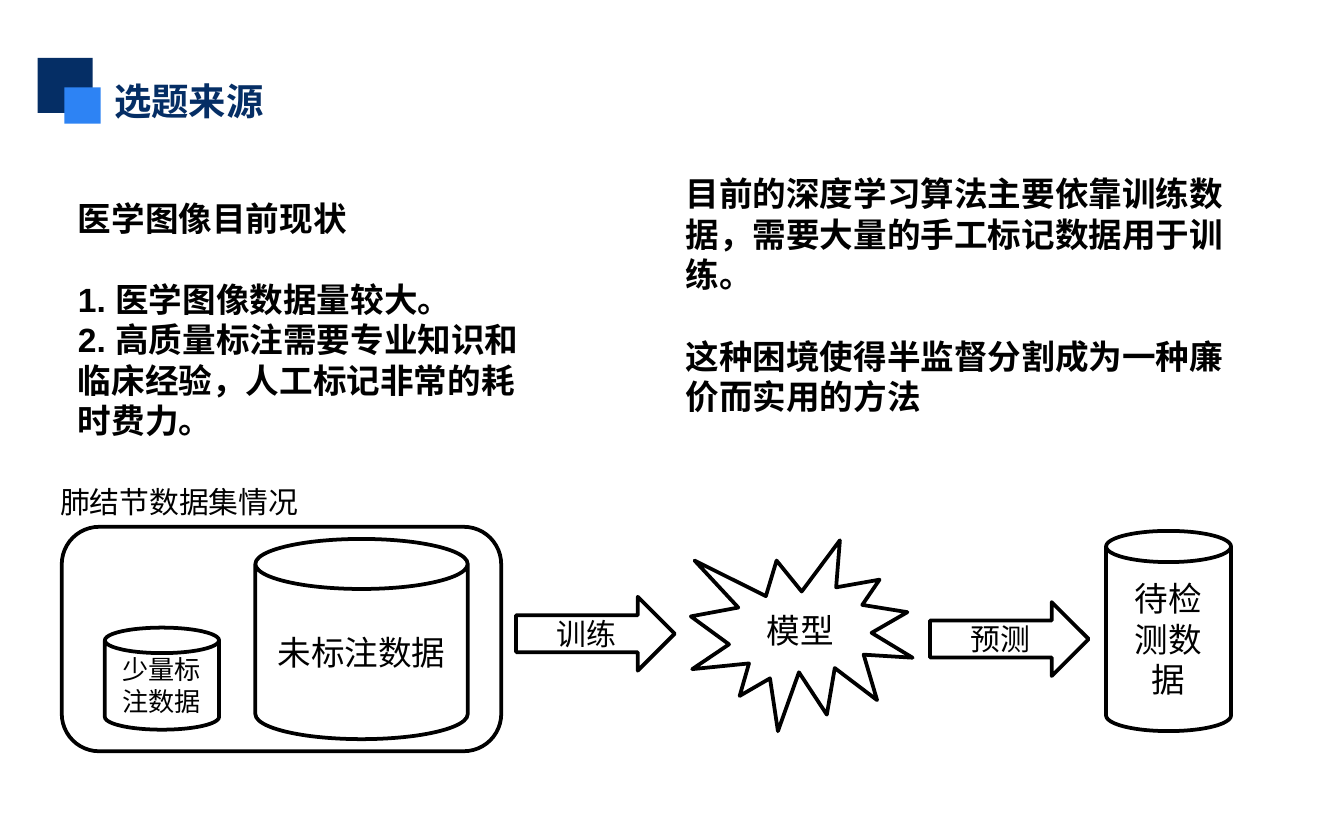
from dataclasses import dataclass

from pptx import Presentation
from pptx.dml.color import RGBColor
from pptx.enum.shapes import MSO_SHAPE as Shape
from pptx.enum.text import MSO_ANCHOR as Anchor, MSO_AUTO_SIZE as AutoSize, PP_ALIGN as Align
from pptx.oxml.ns import qn
from pptx.util import Inches, Pt


@dataclass(frozen=True)
class Theme:
    navy: str = "052E65"
    blue: str = "2D83F4"
    black: str = "000000"
    white: str = "FFFFFF"
    cjk_font: str = "Noto Sans CJK SC"
    body_font: str = "Arial"
    diagram_font: str = "Calibri"
    title_size: int = 20
    body_size: int = 18
    label_size: int = 16
    small_size: int = 14
    outline: int = 2
    paragraph_gap: int = 22


THEME = Theme()


def write(frame, paragraphs, *, font, size, color=THEME.black, bold=False,
          align=Align.LEFT, anchor=Anchor.TOP, wrap=True, gap_after_first=0):
    """Fill a text frame with one format; each string is a paragraph."""
    frame.word_wrap = wrap
    frame.auto_size = AutoSize.NONE
    frame.vertical_anchor = anchor
    for index, text in enumerate(paragraphs):
        paragraph = frame.paragraphs[0] if index == 0 else frame.add_paragraph()
        paragraph.alignment = align
        paragraph.space_before = Pt(0)
        paragraph.space_after = Pt(0 if index else gap_after_first)
        # No bullet and no hanging indent
        properties = paragraph._p.get_or_add_pPr()
        properties.set("marL", "0")
        properties.set("indent", "0")
        properties.append(properties.makeelement(qn("a:buNone"), {}))

        run = paragraph.add_run()
        run.text = text
        run.font.name = font
        run.font.size = Pt(size)
        run.font.bold = bold
        run.font.color.rgb = RGBColor.from_string(color)
        latin = run._r.rPr.find(qn("a:latin"))
        latin.addnext(latin.makeelement(qn("a:ea"), {"typeface": THEME.cjk_font}))


class SlideBuilder:
    def __init__(self, slide, theme):
        self.slide = slide
        self.theme = theme

    def placeholder(self, index, box, paragraphs, **style):
        holder = self.slide.placeholders[index]
        holder.left, holder.top, holder.width, holder.height = map(Inches, box)
        write(holder.text_frame, paragraphs, bold=True, **style)

    def title(self, box, text):
        self.placeholder(0, box, [text], font=self.theme.cjk_font,
                         size=self.theme.title_size, color=self.theme.navy)

    def body(self, index, box, paragraphs):
        self.placeholder(index, box, paragraphs, font=self.theme.body_font,
                         size=self.theme.body_size,
                         gap_after_first=self.theme.paragraph_gap)

    def caption(self, box, text):
        label = self.slide.shapes.add_textbox(*map(Inches, box))
        write(label.text_frame, [text], font=self.theme.diagram_font,
              size=self.theme.label_size, wrap=False)

    def square(self, left, top, side, color):
        square = self.slide.shapes.add_shape(
            Shape.RECTANGLE, *map(Inches, (left, top, side, side)))
        square.shadow.inherit = False
        square.fill.solid()
        square.fill.fore_color.rgb = RGBColor.from_string(color)
        square.line.fill.background()

    def node(self, kind, box, text=None, size=THEME.body_size, filled=True):
        node = self.slide.shapes.add_shape(kind, *map(Inches, box))
        node.shadow.inherit = False
        if filled:
            node.fill.solid()
            node.fill.fore_color.rgb = RGBColor.from_string(self.theme.white)
        else:
            node.fill.background()
        node.line.color.rgb = RGBColor.from_string(self.theme.black)
        node.line.width = Pt(self.theme.outline)
        if text:
            write(node.text_frame, [text], font=self.theme.diagram_font, size=size,
                  align=Align.CENTER, anchor=Anchor.MIDDLE)

    def arrow(self, left, top, text):
        self.node(Shape.RIGHT_ARROW, (left, top, 1.18, 0.55), text, self.theme.label_size)


def main():
    deck = Presentation()
    deck.slide_width, deck.slide_height = Inches(10), Inches(6.25)
    two_content = deck.slide_layouts[3]
    page = SlideBuilder(deck.slides.add_slide(two_content), THEME)

    # Heading with its two-square mark
    page.title((0.75, 0.53, 2.52, 0.44), "选题来源")
    page.square(0.28, 0.43, 0.41, THEME.navy)
    page.square(0.48, 0.65, 0.27, THEME.blue)

    # Background on the left, difficulty on the right
    page.body(1, (0.48, 1.42, 3.58, 1.92), [
        "医学图像目前现状",
        "1. 医学图像数据量较大。",
        "2. 高质量标注需要专业知识和临床经验，人工标记非常的耗时费力。",
    ])
    page.body(2, (5, 1.24, 4.42, 1.92), [
        "目前的深度学习算法主要依靠训练数据，需要大量的手工标记数据用于训练。",
        "这种困境使得半监督分割成为一种廉价而实用的方法",
    ])

    # Data set: few labelled, many unlabelled
    page.caption((0.35, 3.55, 2, 0.37), "肺结节数据集情况")
    page.node(Shape.ROUNDED_RECTANGLE, (0.46, 3.92, 3.27, 1.67), filled=False)
    page.node(Shape.CAN, (0.78, 4.67, 0.85, 0.76), "少量标注数据", THEME.small_size)
    page.node(Shape.CAN, (1.9, 4.01, 1.58, 1.49), "未标注数据", filled=False)

    # Training, model, prediction
    page.arrow(3.84, 4.44, "训练")
    page.node(Shape.EXPLOSION1, (5.14, 4.02, 1.65, 1.42), "模型")
    page.arrow(6.92, 4.48, "预测")
    page.node(Shape.CAN, (8.23, 3.95, 0.93, 1.49), "待检测数据")

    deck.save("out.pptx")


if __name__ == "__main__":
    main()
